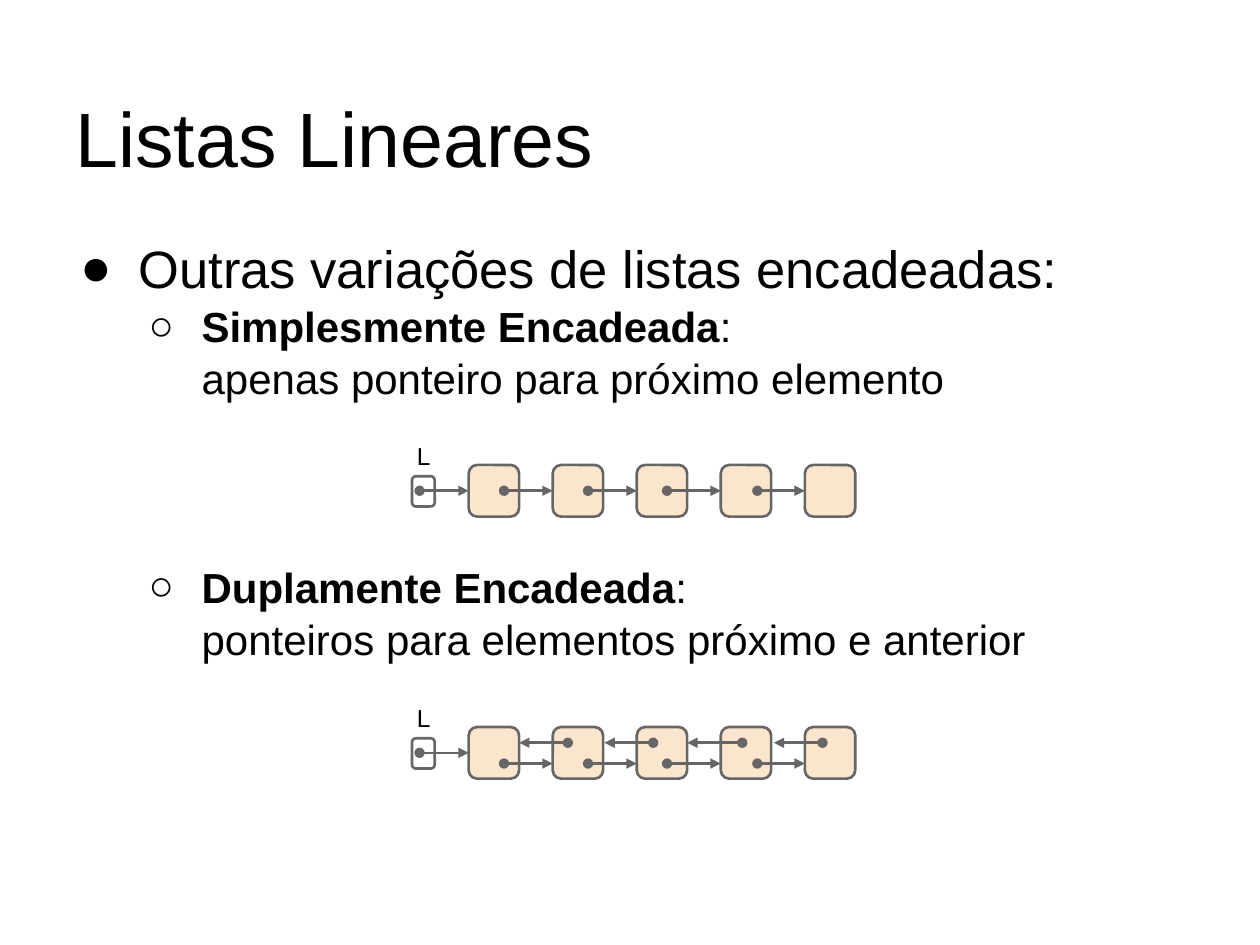
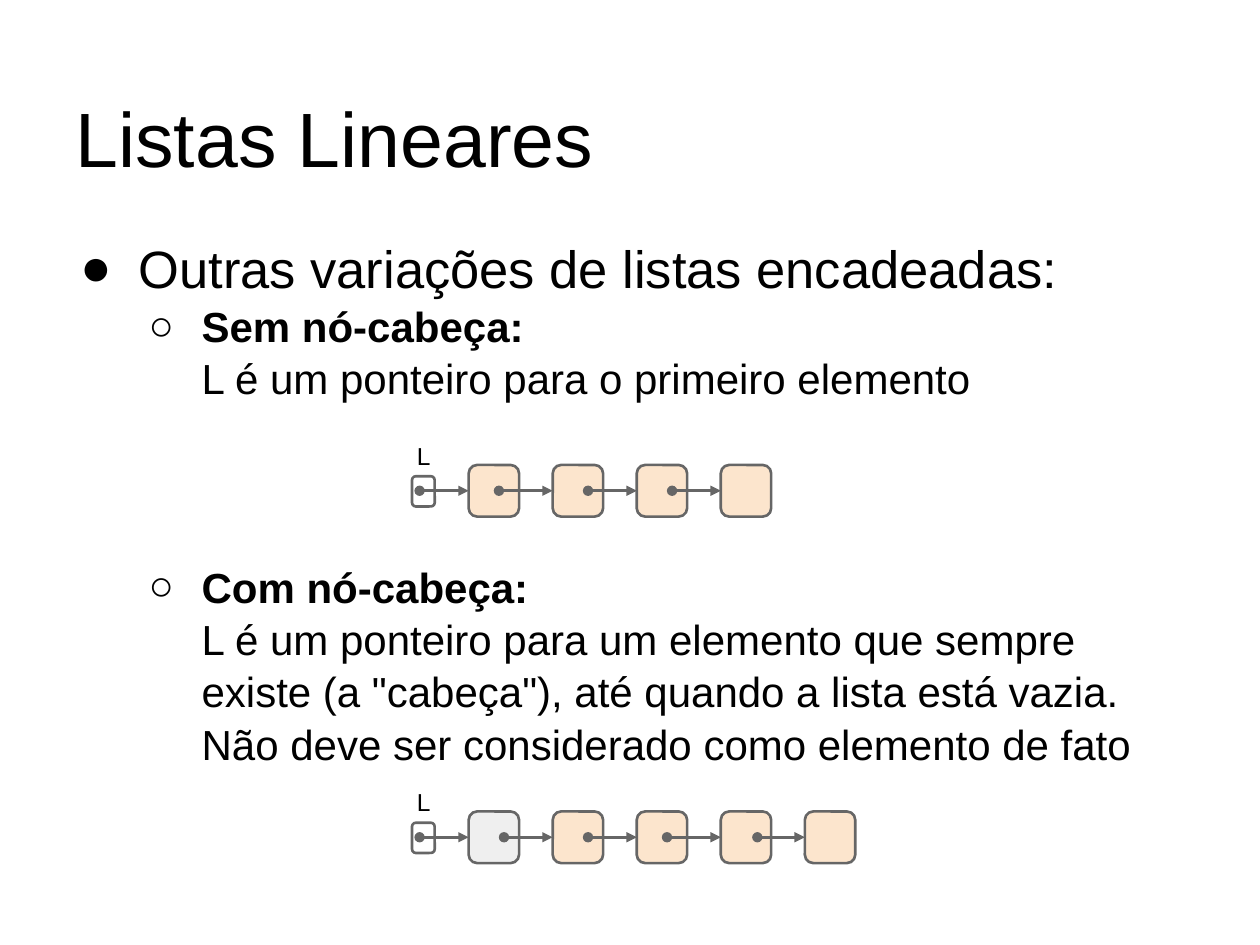
from dataclasses import dataclass

from lxml.etree import SubElement
from pptx import Presentation
from pptx.dml.color import RGBColor
from pptx.enum.shapes import MSO_CONNECTOR as Conn, MSO_SHAPE as Kind
from pptx.enum.text import MSO_ANCHOR as Anchor, MSO_AUTO_SIZE as Fit, PP_ALIGN as Align
from pptx.oxml.ns import qn
from pptx.util import Inches, Pt

# Grid: 100 columns by 75 rows
WIDTH, HEIGHT = Inches(10), Inches(7.5)
COL, ROW = WIDTH / 100, HEIGHT / 75

# Shared look
FONT = "Arial"
INK, GREY, PEACH, PALE = "000000", "666666", "FCE5CD", "EFEFEF"
TITLE = "Listas Lineares"
LEAD = "Outras variações de listas encadeadas:"
FRAME = dict(word_wrap=True, auto_size=Fit.NONE, margin_left=Inches(0.1),
             margin_right=Inches(0.1), margin_top=Inches(0.1), margin_bottom=Inches(0.1))

# Chain measures, in columns and rows
LEFT, PITCH, SIDE, TALL = 37.2, 6.67, 4, 4.1
MID, LOW, HIGH = TALL / 2, 2.9, 1.25


@dataclass(frozen=True)
class Level:
    depth: int
    mark: str
    left: float
    hang: float
    size: int


@dataclass(frozen=True)
class Item:
    head: str      # bold part
    text: str      # plain part
    gap: float     # space before, in points


@dataclass(frozen=True)
class Chain:
    top: float
    roots: tuple[float, ...]                    # dot of each link, from its node's left
    backs: tuple[tuple[float, float], ...] = ()  # tip past the node, dot in the next
    first: str = PEACH


@dataclass(frozen=True)
class Page:
    items: tuple[Item, ...]
    chains: tuple[Chain, ...]


MAIN = Level(0, "●", 0.5, 0.46, 30)
SUB = Level(1, "○", 1, 0.42, 24)

PAGES = (
    Page((Item("Simplesmente Encadeada", ": \vapenas ponteiro para próximo elemento", 0),
          Item("Duplamente Encadeada", ": \vponteiros para elementos próximo e anterior", 89)),
         (Chain(36.9, (2.8, 2.8, 2.4, 2.9)),
          Chain(57.7, (2.8, 2.8, 2.4, 2.9),
                ((0, 1.2), (0.1, 1.3), (0, 1.7), (0.2, 1.4))))),
    Page((Item("Sem nó-cabeça: \v", "L é um ponteiro para o primeiro elemento", 0),
          Item("Com nó-cabeça: \v", "L é um ponteiro para um elemento que sempre existe "
               '(a "cabeça"), até quando a lista está vazia. '
               "Não deve ser considerado como elemento de fato", 89)),
         (Chain(36.9, (2.4, 2.8, 2.8)),
          Chain(64.4, (2.8, 2.8, 2.4, 2.9), first=PALE))),
)


def tint(code: str) -> RGBColor:
    return RGBColor.from_string(code)


def apply(target, form: dict) -> None:
    for name, value in form.items():
        setattr(target, name, value)


def area(x: float, y: float, w: float, h: float) -> tuple[int, ...]:
    return round(x * COL), round(y * ROW), round(w * COL), round(h * ROW)


def place(shape, *box: float) -> None:
    apply(shape, dict(zip(("left", "top", "width", "height"), area(*box))))


def write(para, text: str, size: int, bold: bool = False) -> None:
    # A vertical tab in the text marks a line break
    for num, part in enumerate(text.split("\v")):
        if num:
            para.add_line_break()
        if part:
            run = para.add_run()
            run.text = part
            apply(run.font, dict(name=FONT, size=Pt(size), bold=bold))
            run.font.color.rgb = tint(INK)


def bullet(para, level: Level, gap: float) -> None:
    apply(para, dict(level=level.depth, space_before=Pt(gap), space_after=Pt(0),
                     line_spacing=1.04, alignment=Align.LEFT))
    props = para._p.get_or_add_pPr()
    props.set("marL", str(Inches(level.left)))
    props.set("indent", str(-Inches(level.hang)))
    color = SubElement(props, qn("a:buClr"))
    SubElement(color, qn("a:srgbClr"), val=INK)
    SubElement(props, qn("a:buFont"), typeface=FONT)
    SubElement(props, qn("a:buChar"), char=level.mark)


# Title and list
def add_title(slide) -> None:
    shape = slide.shapes.title
    place(shape, 5, 3, 90, 12.5)
    frame = shape.text_frame
    apply(frame, FRAME | dict(vertical_anchor=Anchor.BOTTOM))
    para = frame.paragraphs[0]
    para.alignment = Align.LEFT
    write(para, TITLE, 44)


def add_list(slide, items: tuple[Item, ...]) -> None:
    shape = slide.placeholders[1]
    place(shape, 5, 17.5, 90, 54.3)
    frame = shape.text_frame
    apply(frame, FRAME | dict(vertical_anchor=Anchor.TOP))
    lead = frame.paragraphs[0]
    bullet(lead, MAIN, 3)
    write(lead, LEAD, MAIN.size)
    for item in items:
        para = frame.add_paragraph()
        bullet(para, SUB, item.gap)
        write(para, item.head, SUB.size, True)
        write(para, item.text, SUB.size)


# Parts of a chain
def add_box(slide, x: float, y: float, w: float, h: float, fill: str = ""):
    box = slide.shapes.add_shape(Kind.ROUNDED_RECTANGLE, *area(x, y, w, h))
    box.shadow.inherit = False
    box.adjustments[0] = 0.167
    if fill:
        box.fill.solid()
        box.fill.fore_color.rgb = tint(fill)
    else:
        box.fill.background()
    box.line.color.rgb = tint(GREY)
    box.line.width = Pt(1.5)
    return box


def add_link(slide, root: float, tip: float, y: float, goal=None) -> None:
    """Draw a link from its dot to its arrow tip, joined to goal's left side if given."""
    x1, y1, x2, _ = area(root, y, tip, 0)
    link = slide.shapes.add_connector(Conn.STRAIGHT, x1, y1, x2, y1)
    if goal is not None:
        link.end_connect(goal, 1)
    link.line.color.rgb = tint(GREY)
    link.line.width = Pt(1.5)
    line = link.line._get_or_add_ln()
    SubElement(line, qn("a:headEnd"), type="oval")
    SubElement(line, qn("a:tailEnd"), type="triangle")
    SubElement(link._element.spPr, qn("a:effectLst"))


def add_chain(slide, chain: Chain) -> None:
    top = chain.top
    xs = [LEFT + PITCH * num for num in range(len(chain.roots) + 1)]
    nodes = [add_box(slide, x, top, SIDE, TALL, PEACH if num else chain.first)
             for num, x in enumerate(xs)]

    # Links to the next node, and back to the one before
    for x, root, goal, tip in zip(xs, chain.roots, nodes[1:], xs[1:]):
        if chain.backs:
            add_link(slide, x + root, tip, top + LOW)
        else:
            add_link(slide, x + root, tip, top + MID, goal)
    for x, after, (gap, root) in zip(xs, xs[1:], chain.backs):
        add_link(slide, after + root, x + SIDE + gap, top + HIGH)

    # Pointer to the list
    add_link(slide, LEFT - 3.9, LEFT, top + MID, nodes[0])
    add_box(slide, LEFT - 4.5, top + 0.9, 1.8, 2.4)
    label = slide.shapes.add_textbox(*area(LEFT - 5.1, top - 2.9, 3.4, 5))
    apply(label.text_frame, FRAME)
    write(label.text_frame.paragraphs[0], "L", 14)


def main() -> None:
    deck = Presentation()
    apply(deck, dict(slide_width=WIDTH, slide_height=HEIGHT))
    for page in PAGES:
        slide = deck.slides.add_slide(deck.slide_layouts[1])
        add_title(slide)
        add_list(slide, page.items)
        for chain in page.chains:
            add_chain(slide, chain)
    deck.save("out.pptx")


if __name__ == "__main__":
    main()
